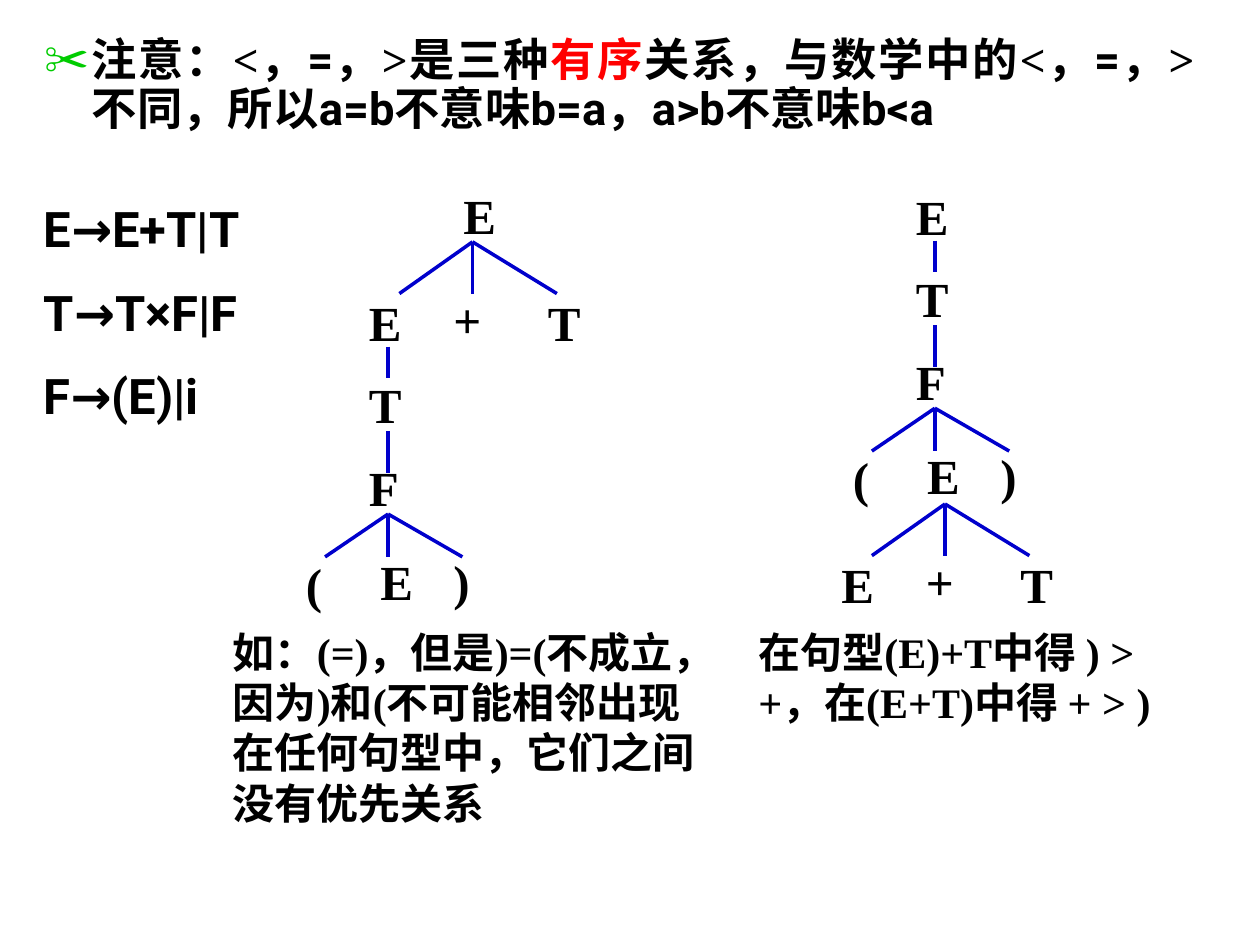
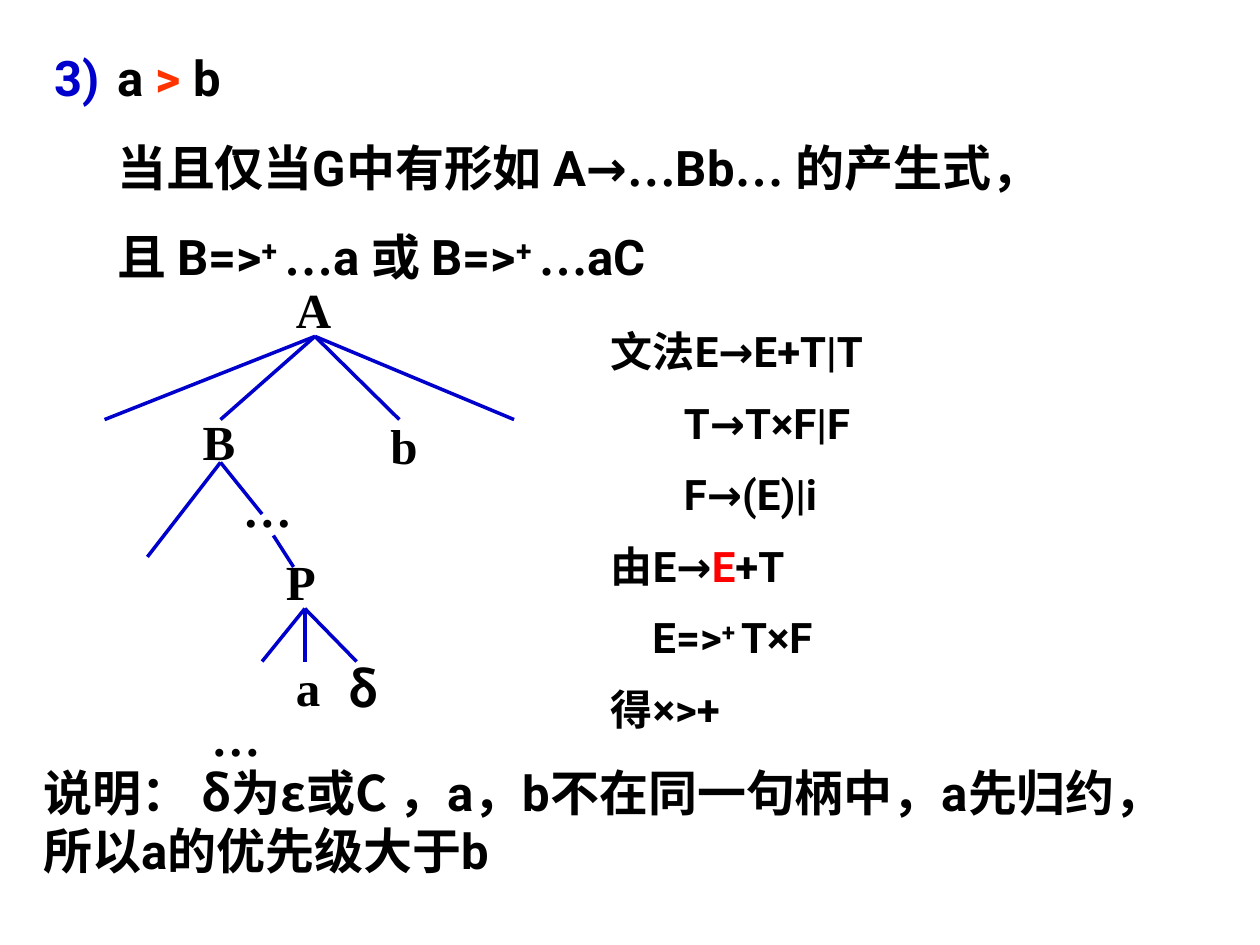
"""Build two slides on operator precedence relations and their parse trees."""
from dataclasses import dataclass

from lxml import etree
from pptx import Presentation
from pptx.dml.color import RGBColor
from pptx.enum.shapes import MSO_CONNECTOR
from pptx.enum.text import MSO_AUTO_SIZE, PP_ALIGN
from pptx.oxml.ns import qn
from pptx.util import Inches, Pt

STRAIGHT = MSO_CONNECTOR.STRAIGHT
NO_FIT = MSO_AUTO_SIZE.NONE
JUSTIFY = PP_ALIGN.JUSTIFY
BLACK = RGBColor(0x00, 0x00, 0x00)
RED = RGBColor(0xFF, 0x00, 0x00)
ORANGE = RGBColor(0xFF, 0x33, 0x00)
BLUE = RGBColor(0x00, 0x00, 0xCC)
GREEN = RGBColor(0x00, 0xCC, 0x00)
SERIF, SANS, CJK = "Times New Roman", "Roboto", "Noto Sans CJK SC"


@dataclass(frozen=True)
class Run:
    """A piece of text with its own font, colour and height."""
    text: str
    font: str = SANS
    color: RGBColor = BLACK
    superscript: bool = False


@dataclass(frozen=True)
class Para:
    """A paragraph with an indent and an optional bullet."""
    runs: tuple[Run, ...]
    left: float = 0
    hang: float = 0
    bullet: tuple[str, dict[str, str], RGBColor] | None = None


@dataclass(frozen=True)
class Node:
    """A tree label at the top left corner of its box."""
    text: str
    x: float
    y: float
    font: str = SERIF


@dataclass(frozen=True)
class Fan:
    """Lines from one apex to several ends."""
    x: float
    y: float
    ends: tuple[tuple[float, float], ...]


@dataclass(frozen=True)
class Tree:
    """Labels and fans relative to a common origin."""
    nodes: tuple[Node, ...]
    fans: tuple[Fan, ...] = ()


PLUS = Run("+ ", superscript=True)
DOTS = Run("…", SERIF)

FACTOR = Tree(
    (Node("T", 0, 0.65), Node("F", 0, 1.31), Node("(", -0.5, 2.08),
     Node("E", 0.09, 2.06), Node(")", 0.67, 2.06)),
    (Fan(0.25, 0.48, ((0.25, 0.73),)),
     Fan(0.25, 1.15, ((0.25, 1.48),)),
     Fan(0.25, 1.81, ((-0.25, 2.15), (0.25, 2.15), (0.84, 2.15)))))
SUM = Tree(
    (Node("E", -0.92, 0.35), Node("+", -0.25, 0.33), Node("T", 0.5, 0.35)),
    (Fan(0, 0, ((-0.58, 0.41), (0, 0.41), (0.67, 0.41))),))
DERIVATION = Tree(
    (Node("A", 2.25, 2.17), Node("B", 1.51, 3.22), Node("b", 3, 3.25),
     Node("…", 1.83, 3.75), Node("P", 2.17, 4.33), Node("a", 2.25, 5.17),
     Node("δ", 2.67, 5.18, CJK), Node("…", 1.58, 5.57)),
    (Fan(2.5, 2.67, ((0.83, 3.33), (1.75, 3.33), (3.17, 3.33), (4.08, 3.33))),
     Fan(1.75, 3.67, ((1.17, 4.42), (2.08, 4.08))),
     Fan(2.17, 4.25, ((2.33, 4.5),)),
     Fan(2.42, 4.83, ((2.08, 5.25), (2.42, 5.25), (2.83, 5.25)))))

NOTE = (Para((
    Run("注意：<，", SERIF), Run("=，"), Run(">是三种", SERIF),
    Run("有序", SERIF, RED), Run("关系，与数学中的<，", SERIF), Run("=，"),
    Run(">不同，所以", SERIF), Run("a=b"), Run("不意味", SERIF),
    Run("b=a，a>b"), Run("不意味", SERIF), Run("b<a")),
    0.38, -0.38, ("a:buChar", {"char": "✂"}, GREEN)),)
RULE = (
    Para((Run("a "), Run("> ", color=ORANGE), Run("b")), 0.5, -0.5,
         ("a:buAutoNum", {"type": "arabicParenR", "startAt": "3"}, BLUE)),
    Para((Run("当且仅当G中有形如 A→"), DOTS, Run("Bb"), Run("… ", SERIF),
          Run("的产生式，")), 0.5),
    Para((Run("且 B=>"), PLUS, DOTS, Run("a 或 B=>"), PLUS, DOTS,
          Run("aC")), 0.5))
EXAMPLE = (
    Para((Run("文法E→E+T|T"),)),
    Para((Run("T→T×F|F"),), 0.58),
    Para((Run("F→(E)|i"),), 0.58),
    Para((Run("由E→"), Run("E", color=RED), Run("+T"))),
    Para((Run("E=>"), PLUS, Run("T×F")), 0.33),
    Para((Run("得×>+"),)))
REMARK = (Para((Run("说明： "), Run("δ为ε或C ", CJK),
                Run("，a，b不在同一句柄中，a先归约，\t所以a的优先级大于b"))),)
GRAMMAR = tuple(Para((Run(t),)) for t in ("E→E+T|T", "T→T×F|F", "F→(E)|i"))


def add_bullet(p, para: Para) -> None:
    """Set the indent and bullet of a paragraph."""
    pPr = p._p.get_or_add_pPr()
    pPr.set("marL", str(Inches(para.left)))
    pPr.set("indent", str(Inches(para.hang)))
    if para.bullet is None:
        etree.SubElement(pPr, qn("a:buNone"))
        return
    tag, attrs, color = para.bullet
    clr = etree.SubElement(pPr, qn("a:buClr"))
    etree.SubElement(clr, qn("a:srgbClr"), val=str(color))
    etree.SubElement(pPr, qn(tag), attrs)


def write(tf, paras: tuple[Para, ...], *, size: float = 28, before: float = 17.5,
          spacing: float = 1.0, align: PP_ALIGN | None = None) -> None:
    """Fill a text frame with formatted paragraphs."""
    tf.word_wrap = True
    tf.auto_size = NO_FIT
    for i, para in enumerate(paras):
        p = tf.add_paragraph() if i else tf.paragraphs[0]
        p.space_before, p.line_spacing, p.alignment = Pt(before), spacing, align
        add_bullet(p, para)
        for run in para.runs:
            r = p.add_run()
            r.text = run.text
            r.font.size, r.font.bold, r.font.name = Pt(size), True, run.font
            r.font.color.rgb = run.color
            rPr = r._r.get_or_add_rPr()
            etree.SubElement(rPr, qn("a:ea"), typeface=CJK)
            if run.superscript:
                rPr.set("baseline", "30000")


def add_text(shapes, box: tuple[float, float, float, float],
             paras: tuple[Para, ...], **fmt) -> None:
    """Add a text box."""
    write(shapes.add_textbox(*map(Inches, box)).text_frame, paras, **fmt)


def add_tree(shapes, tree: Tree, x: float = 0, y: float = 0) -> None:
    """Draw a tree with its origin at x, y."""
    for n in tree.nodes:
        add_text(shapes, (x + n.x, y + n.y, 0.58, 0.57),
                 (Para((Run(n.text, n.font),)),))
    for fan in tree.fans:
        for ex, ey in fan.ends:
            c = shapes.add_connector(STRAIGHT, Inches(x + fan.x), Inches(y + fan.y),
                                     Inches(x + ex), Inches(y + ey))
            c.line.color.rgb, c.line.width = BLUE, Pt(2)
            etree.SubElement(c._element.spPr, qn("a:effectLst"))


def new_slide(prs, box: tuple[float, float, float, float],
              paras: tuple[Para, ...], **fmt):
    """Add a slide whose body placeholder holds the main text."""
    s = prs.slides.add_slide(prs.slide_layouts[1])
    title = s.shapes.title._element
    title.getparent().remove(title)
    body = s.placeholders[1]
    body.left, body.top, body.width, body.height = map(Inches, box)
    write(body.text_frame, paras, **fmt)
    return s


def build_relations(prs) -> None:
    """Build the slide on ordered relations."""
    s = new_slide(prs, (0.25, 0.25, 9.33, 1.17), NOTE,
                  size=25.9, before=7, spacing=0.9, align=JUSTIFY)
    add_text(s.shapes, (0.25, 1.58, 2.58, 1.85), GRAMMAR, spacing=0.9)
    trees = (((3.58, 1.42), (2.83, 2.27), (3.75, 1.92)),
             ((7.17, 1.43), (7.17, 1.43), (7.5, 4)))
    for root, factor, total in trees:
        group = s.shapes.add_group_shape().shapes
        add_tree(group, Tree((Node("E", 0, 0),)), *root)
        add_tree(group, FACTOR, *factor)
        add_tree(group, SUM, *total)
    captions = (
        ((1.75, 4.92, 4.08, 1.7), "如：(=)，但是)=(不成立，因为)和(不可能相邻"
                                  "出现在任何句型中，它们之间没有优先关系"),
        ((5.92, 4.92, 3.58, 1.3), "在句型(E)+T中得 ) > +，在(E+T)中得 + > )"))
    for box, text in captions:
        add_text(s.shapes, box, (Para((Run(text, SERIF),)),), size=24, before=15)


def build_greater(prs) -> None:
    """Build the slide defining the greater relation."""
    s = new_slide(prs, (0.33, 0.33, 9.33, 1.99), RULE)
    add_text(s.shapes, (0.25, 6, 9.5, 1.04), REMARK, before=0)
    add_tree(s.shapes.add_group_shape().shapes, DERIVATION)
    add_text(s.shapes, (4.75, 2.58, 3.5, 3.3), EXAMPLE,
             size=24, before=15, spacing=0.9)


def main() -> None:
    """Build and save the presentation."""
    prs = Presentation()
    prs.slide_width, prs.slide_height = Inches(10), Inches(7.5)
    build_relations(prs)
    build_greater(prs)
    prs.save("out.pptx")


if __name__ == "__main__":
    main()
